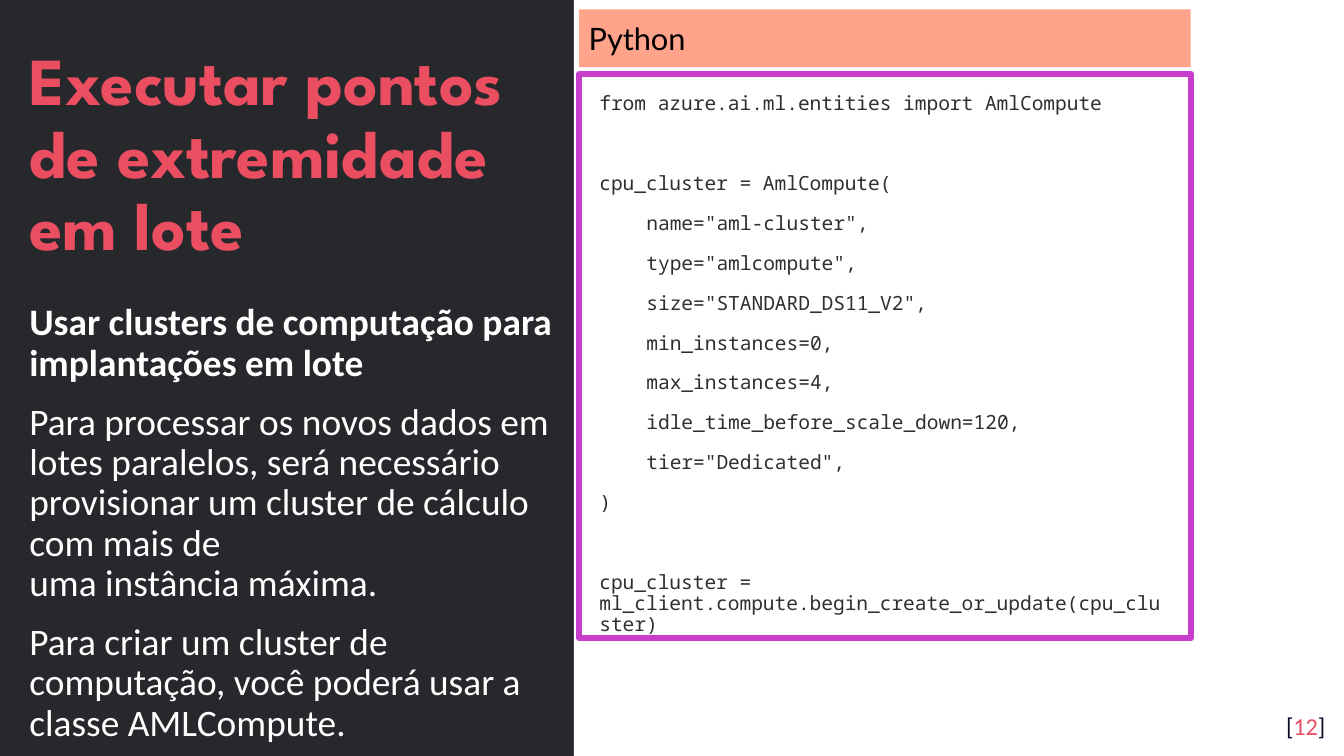
from dataclasses import dataclass

import pptx
import pptx.dml.color
import pptx.enum.shapes
import pptx.enum.text
import pptx.util

Inches = pptx.util.Inches
Pt = pptx.util.Pt
RGBColor = pptx.dml.color.RGBColor
Align = pptx.enum.text.PP_ALIGN
Anchor = pptx.enum.text.MSO_ANCHOR

DARK = RGBColor(0x27, 0x28, 0x2C)
WHITE = RGBColor(0xFF, 0xFF, 0xFF)
BLACK = RGBColor(0x00, 0x00, 0x00)
CORAL = RGBColor(0xEA, 0x4E, 0x60)
SALMON = RGBColor(0xFF, 0xA3, 0x8B)
PURPLE = RGBColor(0xC7, 0x3E, 0xCC)
CODE_GRAY = RGBColor(0x2F, 0x2F, 0x2F)
NAVY = RGBColor(0x04, 0x0A, 0x24)

SLIDE_WIDTH = 10
SLIDE_HEIGHT = SLIDE_WIDTH * 9 / 16
CODE_INDENT = Inches(0.35)
PARAGRAPH_GAP = 10
CODE_BLANK_LINE = 21.4


@dataclass(frozen=True)
class Box:
    left: float
    top: float
    width: float
    height: float

    def lengths(self) -> list[pptx.util.Length]:
        return [Inches(v) for v in (self.left, self.top, self.width, self.height)]


@dataclass(frozen=True)
class Style:
    font: str
    size: float
    color: RGBColor
    bold: bool = False
    line_spacing: float = 0.9


@dataclass(frozen=True)
class Line:
    text: str
    style: Style
    gap: float = PARAGRAPH_GAP
    indented: bool = False


TITLE = Style("League Spartan", 36, CORAL, bold=True)
SUBTITLE = Style("Calibri", 20, WHITE, bold=True)
BODY = Style("Calibri", 20, WHITE)
CODE = Style("Noto Sans Mono", 10.5, CODE_GRAY)
LANGUAGE = Style("Lato", 16.5, BLACK, line_spacing=1.0)

EXPLANATION = [
    Line("Usar clusters de computação para implantações em lote", SUBTITLE),
    Line("Para processar os novos dados em lotes paralelos, será necessário provisionar "
         "um cluster de cálculo com mais de \numa instância máxima.", BODY),
    Line("Para criar um cluster de computação, você poderá usar a classe AMLCompute.", BODY),
]

CLUSTER_ARGUMENTS = [
    'name="aml-cluster",',
    'type="amlcompute",',
    'size="STANDARD_DS11_V2",',
    "min_instances=0,",
    "max_instances=4,",
    "idle_time_before_scale_down=120,",
    'tier="Dedicated",',
]

SECTION_GAP = PARAGRAPH_GAP + CODE_BLANK_LINE
CODE_LINES = [
    Line("from azure.ai.ml.entities import AmlCompute", CODE),
    Line("cpu_cluster = AmlCompute(", CODE, SECTION_GAP),
    *[Line(argument, CODE, indented=True) for argument in CLUSTER_ARGUMENTS],
    Line(")", CODE),
    Line("cpu_cluster = ml_client.compute.begin_create_or_update(cpu_cluster)",
         CODE, SECTION_GAP),
]


def add_panel(slide, box: Box, fill: RGBColor | None = None, border: RGBColor | None = None):
    panel = slide.shapes.add_shape(
        pptx.enum.shapes.MSO_SHAPE.RECTANGLE, *box.lengths())
    panel.shadow.inherit = False
    if fill is None:
        panel.fill.background()
    else:
        panel.fill.solid()
        panel.fill.fore_color.rgb = fill
    if border is None:
        panel.line.fill.background()
    else:
        panel.line.color.rgb = border
        panel.line.width = Pt(3)
    return panel


def set_frame(frame, anchor: Anchor, inset_x: float, inset_y: float) -> None:
    frame.word_wrap = True
    frame.vertical_anchor = anchor
    frame.margin_left = frame.margin_right = Inches(inset_x)
    frame.margin_top = frame.margin_bottom = Inches(inset_y)


def style_font(font, style: Style) -> None:
    font.name = style.font
    font.size = Pt(style.size)
    font.bold = style.bold
    font.color.rgb = style.color


def write_lines(shape, lines: list[Line], anchor: Anchor = Anchor.TOP,
                inset_x: float = 0.1, inset_y: float = 0.05) -> None:
    frame = shape.text_frame
    set_frame(frame, anchor, inset_x, inset_y)
    for index, line in enumerate(lines):
        paragraph = frame.add_paragraph() if index else frame.paragraphs[0]
        paragraph.text = line.text
        paragraph.alignment = Align.LEFT
        paragraph.line_spacing = line.style.line_spacing
        paragraph.space_before = Pt(line.gap if index else 0)
        style_font(paragraph.font, line.style)
        if line.indented:
            paragraph._p.get_or_add_pPr().set("marL", str(CODE_INDENT))


def add_page_number(slide, box: Box, number: str) -> None:
    frame = slide.shapes.add_textbox(*box.lengths()).text_frame
    set_frame(frame, Anchor.TOP, 0.1, 0.1)
    paragraph = frame.paragraphs[0]
    paragraph.alignment = Align.RIGHT
    for text, color in (("[", NAVY), (number, CORAL), ("]", NAVY)):
        run = paragraph.add_run()
        run.text = text
        style_font(run.font, Style("Calibri", 13, color))


def main() -> None:
    presentation = pptx.Presentation()
    presentation.slide_width = Inches(SLIDE_WIDTH)
    presentation.slide_height = Inches(SLIDE_HEIGHT)
    slide = presentation.slides.add_slide(presentation.slide_layouts[6])
    slide.background.fill.solid()
    slide.background.fill.fore_color.rgb = DARK

    add_panel(slide, Box(4.27, 0, SLIDE_WIDTH - 4.27, SLIDE_HEIGHT), fill=WHITE)

    title = slide.shapes.add_textbox(*Box(0.12, 0, 4, 2.33).lengths())
    write_lines(title, [Line("Executar pontos de extremidade em lote", TITLE)], Anchor.MIDDLE)

    explanation = slide.shapes.add_textbox(*Box(0.12, 2.21, 4.26, 3.41).lengths())
    write_lines(explanation, EXPLANATION)

    code = add_panel(slide, Box(4.31, 0.55, 4.55, 4.2), border=PURPLE)
    write_lines(code, CODE_LINES, inset_x=0.15, inset_y=0.15)

    language = add_panel(slide, Box(4.31, 0.07, 4.55, 0.43), fill=SALMON)
    write_lines(language, [Line("Python", LANGUAGE)], Anchor.MIDDLE, 0.07, 0.07)

    add_page_number(slide, Box(9.3, 5.19, 0.66, 0.43), "12")
    presentation.save("out.pptx")


if __name__ == "__main__":
    main()
